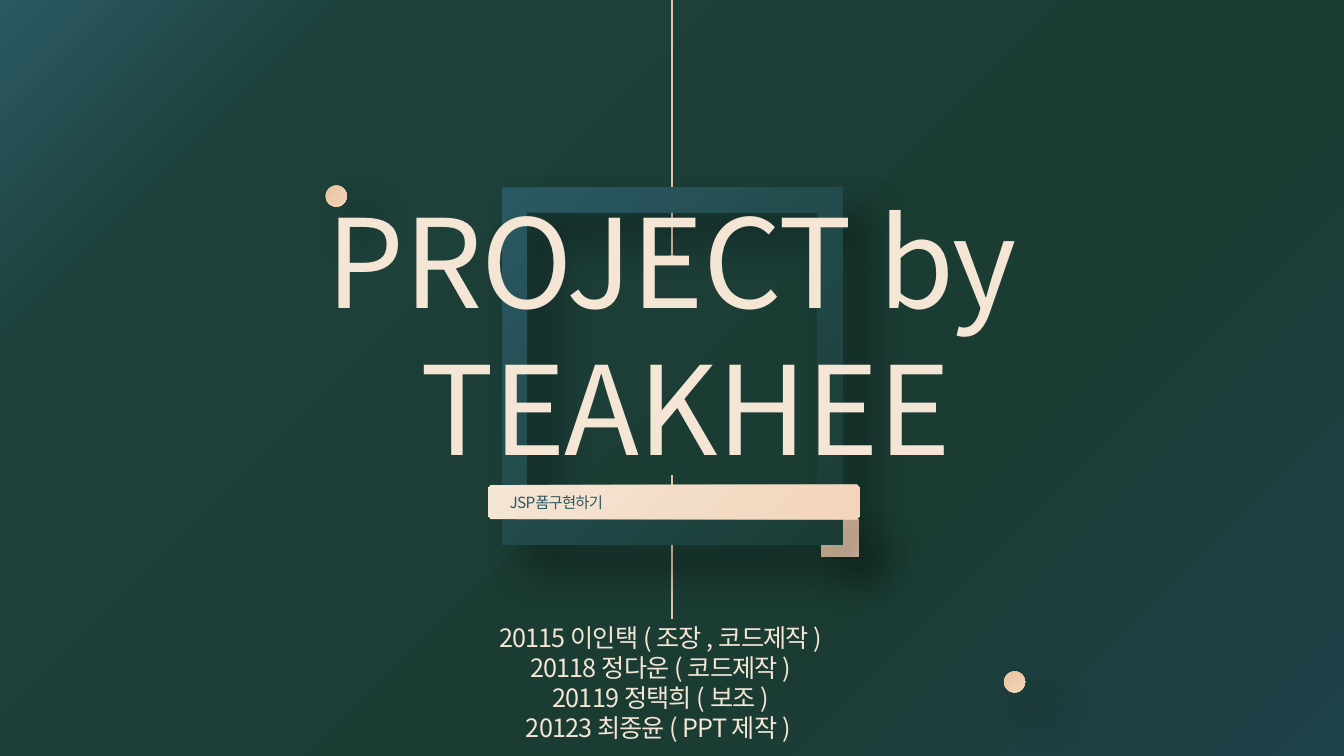
from dataclasses import dataclass
from lxml.etree import SubElement
from pptx import Presentation
from pptx.dml.color import RGBColor as Rgb
from pptx.enum.shapes import MSO_CONNECTOR as Link, MSO_SHAPE as Geo
from pptx.enum.text import MSO_ANCHOR as Anchor, MSO_AUTO_SIZE as Fit
from pptx.enum.text import PP_ALIGN as Align
from pptx.oxml.ns import qn
from pptx.util import Pt


@dataclass(frozen=True)
class Theme:
    font: str = "Noto Sans CJK KR"
    cream: str = "F4E5D4"
    teal: str = "2A5963"
    line: str = "E4C2A9"
    shade: str = "000000"
    gold: tuple = ((0, "E7C49D"), (100, "F3D5BB"))
    frame: tuple = ((0, "2A5963"), (100, "1B3C35"))
    bar: tuple = ((0, "F3D5BB"), (100, "F4E5D4"))
    back: tuple = ((0, "1F4148"), (33, "1B3C33"), (82, "1D403A"), (100, "2A5963"))
    title: float = 88
    sub: float = 11
    names: float = 18
    lead: float = 1.2


THEME = Theme()
NAMES = ("20115 이인택 ( 조장 , 코드제작 )", "20118 정다운 ( 코드제작 )",
         "20119 정택희 ( 보조 )", "20123 최종윤 ( PPT 제작 ) ")


def node(parent, tag, **attrs):
    return SubElement(parent, qn(tag), {k: str(v) for k, v in attrs.items()})


def apply(item, values):
    for name, value in values.items():
        setattr(item, name, value)


def blend(parent, stops, radial=False):
    """Swap the solid fill of parent for a gradient."""
    solid = parent.find(qn("a:solidFill"))
    grad = node(parent, "a:gradFill", rotWithShape=1)
    parent.replace(solid, grad)
    steps = node(grad, "a:gsLst")
    for pos, color in stops:
        node(node(steps, "a:gs", pos=pos * 1000), "a:srgbClr", val=color)
    if radial:
        ring = node(grad, "a:path", path="circle")
        node(ring, "a:fillToRect", l=100000, t=100000)
    else:
        node(grad, "a:lin", ang=45 * 60000, scaled=0)


def place(item, box):
    apply(item, dict(zip(("left", "top", "width", "height"), map(Pt, box))))


def add_back(slide):
    slide.background.fill.solid()
    blend(next(slide._element.iter(qn("p:bgPr"))), THEME.back, radial=True)


def add_line(slide, x, top, end, tip=None):
    line = slide.shapes.add_connector(Link.STRAIGHT, Pt(x), Pt(top), Pt(x), Pt(end))
    line.line.color.rgb = Rgb.from_string(THEME.line)
    line.line.width = Pt(1)
    if tip:
        node(line.line._get_or_add_ln(), "a:tailEnd", type=tip)
    node(line._element.spPr, "a:effectLst")


def add_form(slide, kind, box, stops, adjust=None, radial=False, shadow=True):
    form = slide.shapes.add_shape(kind, *map(Pt, box))
    if adjust is not None:
        form.adjustments[0] = adjust
    form.fill.solid()
    blend(form._element.spPr, stops, radial)
    form.line.fill.background()
    form.shadow.inherit = False
    if shadow:
        list_ = form._element.spPr.find(qn("a:effectLst"))
        cast = node(list_, "a:outerShdw", blurRad=Pt(30), dist=Pt(26),
                    dir=45 * 60000, algn="tl", rotWithShape=0)
        tint = node(cast, "a:srgbClr", val=THEME.shade)
        node(tint, "a:alpha", val=40000)
    return form


def write(item, lines, size, color, align=Align.CENTER, lead=None, inset=(7.2, 3.6, 7.2, 3.6)):
    frame = item.text_frame
    apply(frame, {"word_wrap": True, "auto_size": Fit.NONE,
                  "vertical_anchor": Anchor.MIDDLE})
    sides = ("margin_left", "margin_top", "margin_right", "margin_bottom")
    apply(frame, dict(zip(sides, map(Pt, inset))))
    frame.text = "\n".join(lines)
    for para in frame.paragraphs:
        apply(para, {"alignment": align, "space_before": Pt(0), "space_after": Pt(0)})
        if lead:
            para.line_spacing = Pt(size * lead)
        for run in para.runs:
            apply(run.font, {"name": THEME.font, "size": Pt(size), "bold": False})
            run.font.color.rgb = Rgb.from_string(color)
            props = run.font._element
            props.set("spc", "-60")
            node(props, "a:ea", typeface=THEME.font)


def add_title(slide):
    title = slide.shapes.title
    place(title, (15.1, 172.1, 949, 115.2))
    # Bring the title in front of the frame
    slide.shapes._spTree.append(title._element)
    write(title, ["PROJECT by \vTEAKHEE"], THEME.title, THEME.cream,
          lead=THEME.lead, inset=(7.2, 19.6, 7.2, 3.6))


def add_bar(slide):
    bar = add_form(slide, Geo.PLAQUE, (348.5, 346.3, 265.7, 24.5), THEME.bar,
                   adjust=0.07, radial=True, shadow=False)
    write(bar, ["JSP폼구현하기"], THEME.sub, THEME.teal, align=Align.JUSTIFY,
          inset=(14.4, 3.6, 14.4, 3.6))


def add_names(slide):
    box = slide.shapes.add_textbox(*map(Pt, (128.9, 465.1, 686.2, 44.6)))
    write(box, NAMES, THEME.names, THEME.cream, lead=THEME.lead)


def main():
    deck = Presentation()
    apply(deck, {"slide_width": Pt(960), "slide_height": Pt(540)})
    slide = deck.slides.add_slide(deck.slide_layouts[5])
    add_back(slide)
    # Centre line, above and below the frame
    add_line(slide, 480, 0, 184.3, tip="diamond")
    add_line(slide, 480, 339.1, 442.1)
    # Frame with its gold corner and dots
    add_form(slide, Geo.RECTANGLE, (586.8, 370.8, 26.6, 26.6), THEME.gold)
    add_form(slide, Geo.FRAME, (358.6, 133.9, 243.4, 254.9), THEME.frame, adjust=0.073)
    for left, top in ((232.6, 132.5), (717.1, 479.5)):
        add_form(slide, Geo.OVAL, (left, top, 15.1, 15.1), THEME.gold)
    # Texts
    add_title(slide)
    add_bar(slide)
    add_names(slide)
    deck.save("out.pptx")


if __name__ == "__main__":
    main()
